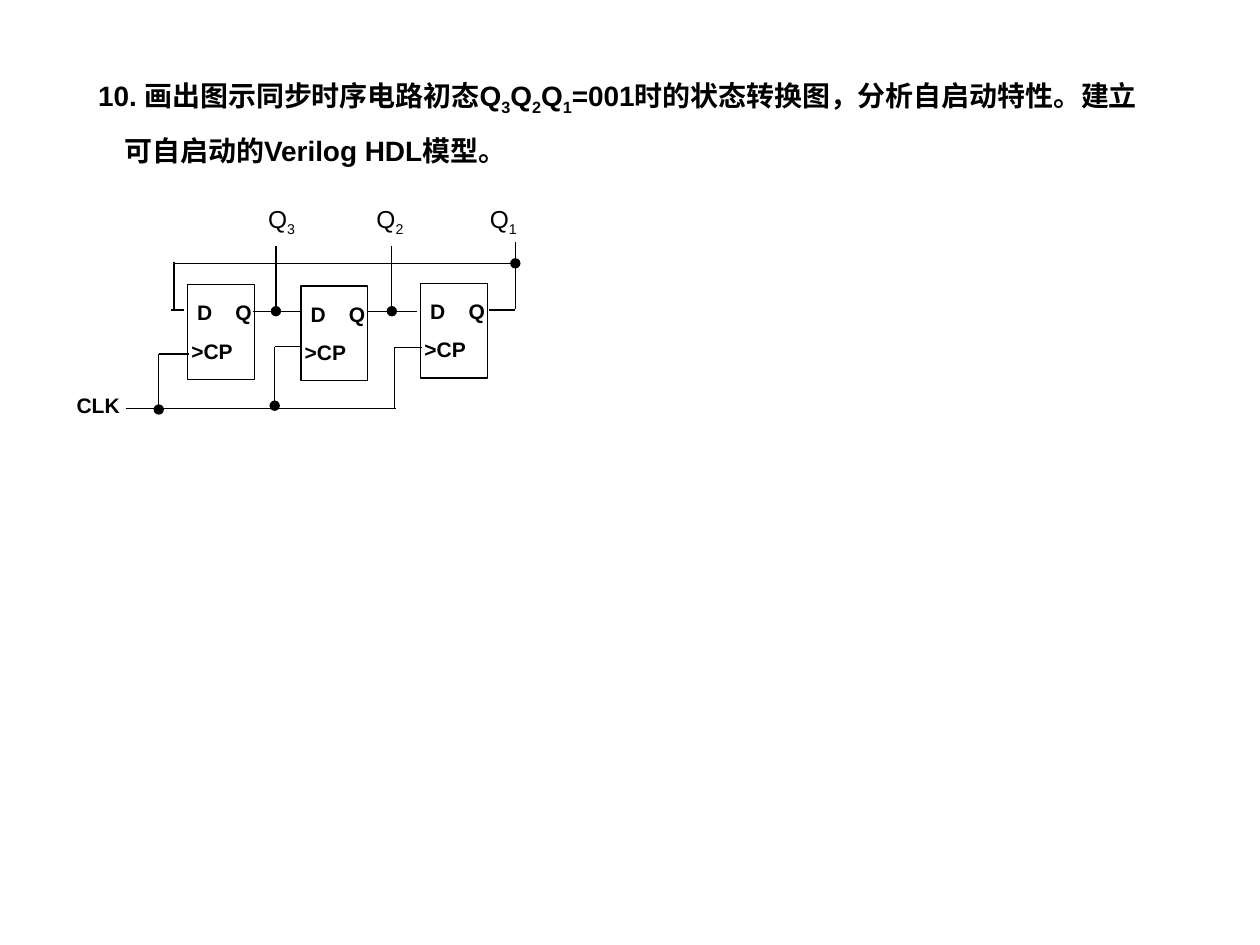
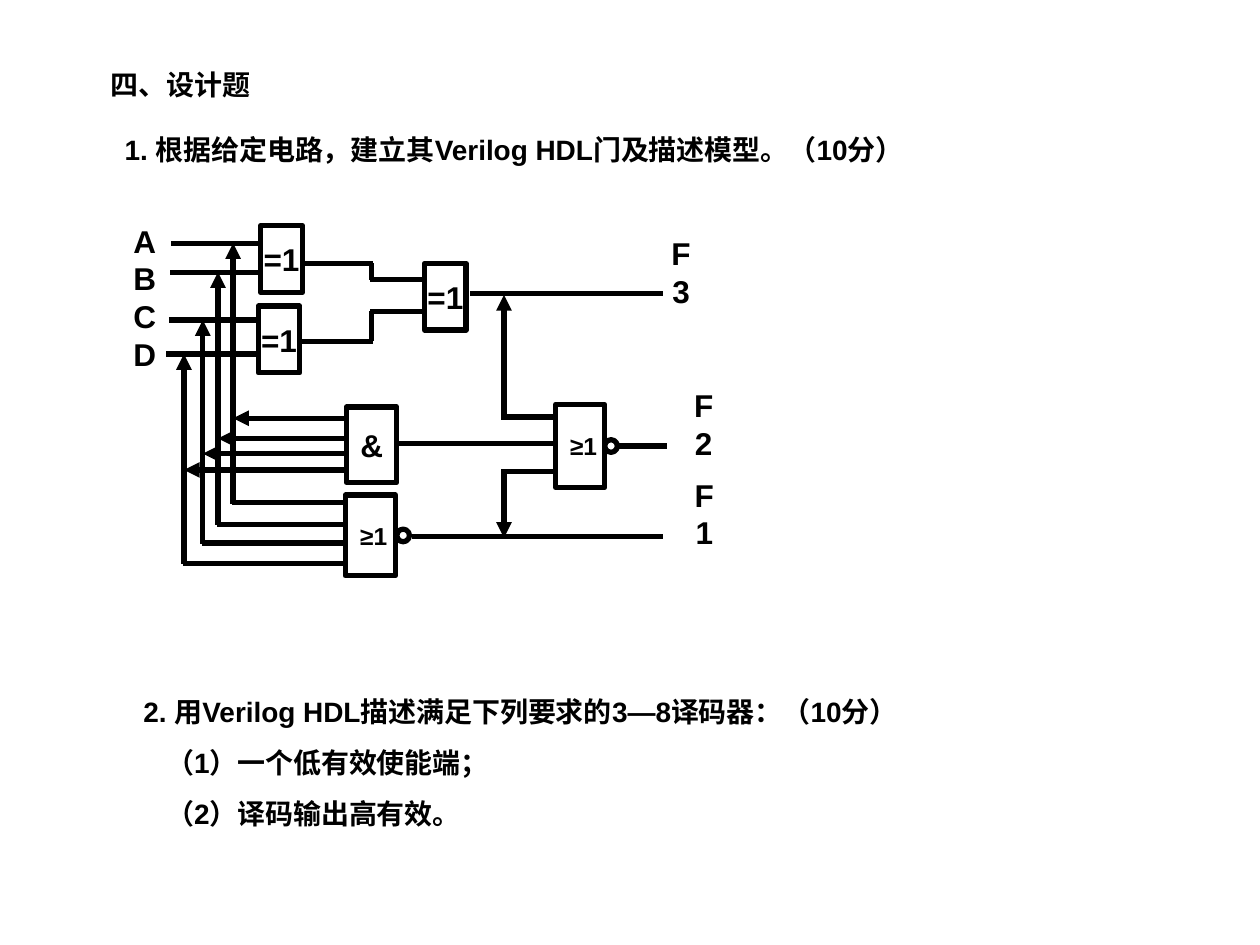
from lxml import etree
from pptx import Presentation
from pptx.dml.color import RGBColor
from pptx.enum.shapes import MSO_CONNECTOR, MSO_SHAPE
from pptx.enum.text import MSO_ANCHOR, PP_ALIGN
from pptx.oxml.ns import qn
from pptx.util import Inches, Pt

FONT = "Arial"
BLACK = "000000"
WHITE = "FFFFFF"


def color(hex_string):
    return RGBColor.from_string(hex_string)


def add_tabs(paragraph, positions):
    tab_list = etree.SubElement(paragraph._p.get_or_add_pPr(), qn("a:tabLst"))
    for position in positions:
        etree.SubElement(tab_list, qn("a:tab"), pos=str(Inches(position)), algn="l")


def add_run(paragraph, text, subscript=False):
    if text:
        run = paragraph.add_run()
        run.text = text
        if subscript:
            run.font._element.set("baseline", "-25000")


def write_text(frame, text, size=16, bold=True, align=PP_ALIGN.LEFT,
               anchor=MSO_ANCHOR.TOP, wrap=True, gap=0, indent=0, tabs=()):
    """Each line is a paragraph; an underscore lowers the character after it.

    The indent applies to every paragraph but the first.
    """
    frame.word_wrap = wrap
    frame.vertical_anchor = anchor
    for index, line in enumerate(text.split("\n")):
        paragraph = frame.add_paragraph() if index else frame.paragraphs[0]
        paragraph.alignment = align
        if index:
            paragraph.space_before = Pt(gap)
            paragraph._p.get_or_add_pPr().set("marL", str(Inches(indent)))
        if tabs:
            add_tabs(paragraph, tabs)
        paragraph.font.name = FONT
        paragraph.font.size = Pt(size)
        paragraph.font.bold = bold
        paragraph.font.color.rgb = color(BLACK)
        first, *lowered = line.split("_")
        add_run(paragraph, first)
        for part in lowered:
            add_run(paragraph, part[0], subscript=True)
            add_run(paragraph, part[1:])
        for run in paragraph.runs:
            run.font.name = FONT
            run.font.size = Pt(size)
            run.font.bold = bold
            run.font.color.rgb = color(BLACK)


class CircuitDeck:
    """Holds the presentation, the current slide and its line weight."""

    def __init__(self):
        self.presentation = Presentation()
        self.presentation.slide_width = Inches(10)
        self.presentation.slide_height = Inches(7.5)
        self.slide = None
        self.weight = 0.75

    def new_slide(self, weight):
        self.slide = self.presentation.slides.add_slide(self.presentation.slide_layouts[6])
        self.weight = weight

    def text(self, left, top, width, height, text, **style):
        box = self.slide.shapes.add_textbox(*map(Inches, (left, top, width, height)))
        write_text(box.text_frame, text, **style)

    def label(self, left, top, width, height, text):
        self.text(left, top, width, height, text, size=18, align=PP_ALIGN.CENTER,
                  anchor=MSO_ANCHOR.MIDDLE, wrap=False)

    def outline(self, kind, left, top, width, height, fill=None):
        shape = self.slide.shapes.add_shape(kind, *map(Inches, (left, top, width, height)))
        shape.shadow.inherit = False
        if fill:
            shape.fill.solid()
            shape.fill.fore_color.rgb = color(fill)
        else:
            shape.fill.background()
        shape.line.color.rgb = color(BLACK)
        shape.line.width = Pt(self.weight)
        return shape

    def gate(self, left, top, width, height, symbol, size=18):
        shape = self.outline(MSO_SHAPE.RECTANGLE, left, top, width, height)
        write_text(shape.text_frame, symbol, size=size, align=PP_ALIGN.CENTER,
                   anchor=MSO_ANCHOR.MIDDLE, wrap=False)

    def inverter(self, left, top):
        self.outline(MSO_SHAPE.OVAL, left, top, 0.1, 0.1)

    def flip_flop(self, left, top):
        self.outline(MSO_SHAPE.RECTANGLE, left, top, 0.53, 0.75, fill=WHITE)
        self.text(left - 0.07, top + 0.07, 0.81, 0.61, " D\tQ\n>CP",
                  size=12, gap=7.5, tabs=[0.35])

    def wire(self, x1, y1, x2, y2, head=None, tail=None):
        connector = self.slide.shapes.add_connector(
            MSO_CONNECTOR.STRAIGHT, *map(Inches, (x1, y1, x2, y2)))
        connector.line.color.rgb = color(BLACK)
        connector.line.width = Pt(self.weight)
        properties = connector._element.spPr
        etree.SubElement(properties, qn("a:effectLst"))
        line = properties.find(qn("a:ln"))
        for tag, kind in (("a:headEnd", head), ("a:tailEnd", tail)):
            if kind:
                etree.SubElement(line, qn(tag), type=kind)


def shift_register_slide(deck):
    deck.new_slide(weight=0.75)
    deck.text(0.68, 0.57, 8.66, 0.81,
              "10. 画出图示同步时序电路初态Q_3Q_2Q_1=001时的状态转换图，分析自启动特性。建立\n"
              "可自启动的Verilog HDL模型。", gap=10, indent=0.21)

    for left, top in ((1.49, 2.26), (2.39, 2.27), (3.34, 2.25)):
        deck.flip_flop(left, top)

    # Links between stages, each with its output tap
    for start, end, tap in ((2.01, 2.38, 2.19), (2.92, 3.31, 3.11)):
        deck.wire(start, 2.47, end, 2.47)
        deck.wire(tap, 2.47, tap, 1.95, head="oval")

    # Feedback from the last output to the first input
    deck.wire(3.88, 2.46, 4.09, 2.46)
    deck.wire(4.09, 2.45, 4.09, 1.92)
    deck.wire(4.09, 2.09, 1.38, 2.09, head="oval")
    deck.wire(1.38, 2.08, 1.38, 2.47)
    deck.wire(1.36, 2.46, 1.46, 2.46)
    deck.text(2.03, 1.57, 2.47, 0.37, "Q_3\tQ_2\tQ_1", size=14, bold=False,
              tabs=[0.86, 1.76])

    # Clock line and its branches
    deck.wire(1, 3.24, 3.14, 3.24)
    for x, y, end, bottom, dot in ((1.26, 2.81, 1.5, 3.25, "oval"),
                                   (2.18, 2.75, 2.38, 3.22, "oval"),
                                   (3.13, 2.76, 3.35, 3.24, None)):
        deck.wire(x, y, x, bottom, tail=dot)
        deck.wire(x, y, end, y)
    deck.text(0.51, 3.07, 0.57, 0.3, "CLK", size=12)


def gate_design_slide(deck):
    deck.new_slide(weight=3)
    deck.text(0.78, 0.49, 6.96, 0.37, "四、设计题")
    deck.text(0.89, 1, 6.94, 0.37, "1. 根据给定电路，建立其Verilog HDL门及描述模型。（10分）")

    # Gates
    for left, top in ((2.07, 1.79), (2.05, 2.43), (3.37, 2.09)):
        deck.gate(left, top, 0.33, 0.53, "=1")
    deck.gate(2.75, 3.23, 0.4, 0.6, "&")
    deck.gate(4.41, 3.21, 0.39, 0.66, " ≥1", size=14)
    deck.gate(2.74, 3.93, 0.4, 0.64, " ≥1", size=14)
    deck.inverter(4.8, 3.49)
    deck.inverter(3.15, 4.2)

    # Outputs
    for start, end, y in ((3.73, 5.26, 2.33), (4.9, 5.29, 3.54), (3.27, 5.26, 4.26)):
        deck.wire(start, y, end, y)
    deck.label(5.21, 1.98, 0.39, 0.36, "F3")
    deck.label(5.4, 3.18, 0.37, 0.37, "F2")
    deck.label(5.41, 3.88, 0.36, 0.39, "F1")

    # Inputs A to D, each with its bus to the AND and NOR gates
    deck.label(0.96, 1.66, 0.31, 1.4, "A\nB\nC\nD")
    for left, right, y, bus, and_y, nor_y in ((1.36, 2.09, 1.93, 1.85, 3.32, 3.99),
                                              (1.35, 2.08, 2.16, 1.73, 3.48, 4.16),
                                              (1.34, 2.06, 2.54, 1.61, 3.6, 4.31),
                                              (1.32, 2.05, 2.81, 1.46, 3.73, 4.47)):
        deck.wire(left, y, right, y)
        deck.wire(bus, and_y, 2.75, and_y, head="triangle")
        deck.wire(bus - 0.01, nor_y, 2.76, nor_y)
        deck.wire(bus, y, bus, nor_y + 0.01, head="triangle")

    # First XOR pair into the second stage
    for start, out_y, in_y in ((2.41, 2.09, 2.22), (2.37, 2.71, 2.47)):
        deck.wire(start, out_y, 2.96, out_y)
        deck.wire(2.95, out_y, 2.95, in_y)
        deck.wire(2.94, in_y, 3.39, in_y)

    # Inputs of the F2 gate
    deck.wire(3.17, 3.52, 4.4, 3.52)
    for branch_y, output_y in ((3.31, 2.34), (3.74, 4.27)):
        deck.wire(3.98, branch_y, 4.41, branch_y)
        deck.wire(4, branch_y, 4, output_y, tail="triangle")

    deck.text(1.04, 5.46, 6.65, 1.18,
              "2. 用Verilog HDL描述满足下列要求的3—8译码器：（10分）\n"
              "（1）一个低有效使能端；\n（2）译码输出高有效。", gap=10, indent=0.18)


def main():
    deck = CircuitDeck()
    shift_register_slide(deck)
    gate_design_slide(deck)
    deck.presentation.save("out.pptx")


if __name__ == "__main__":
    main()
